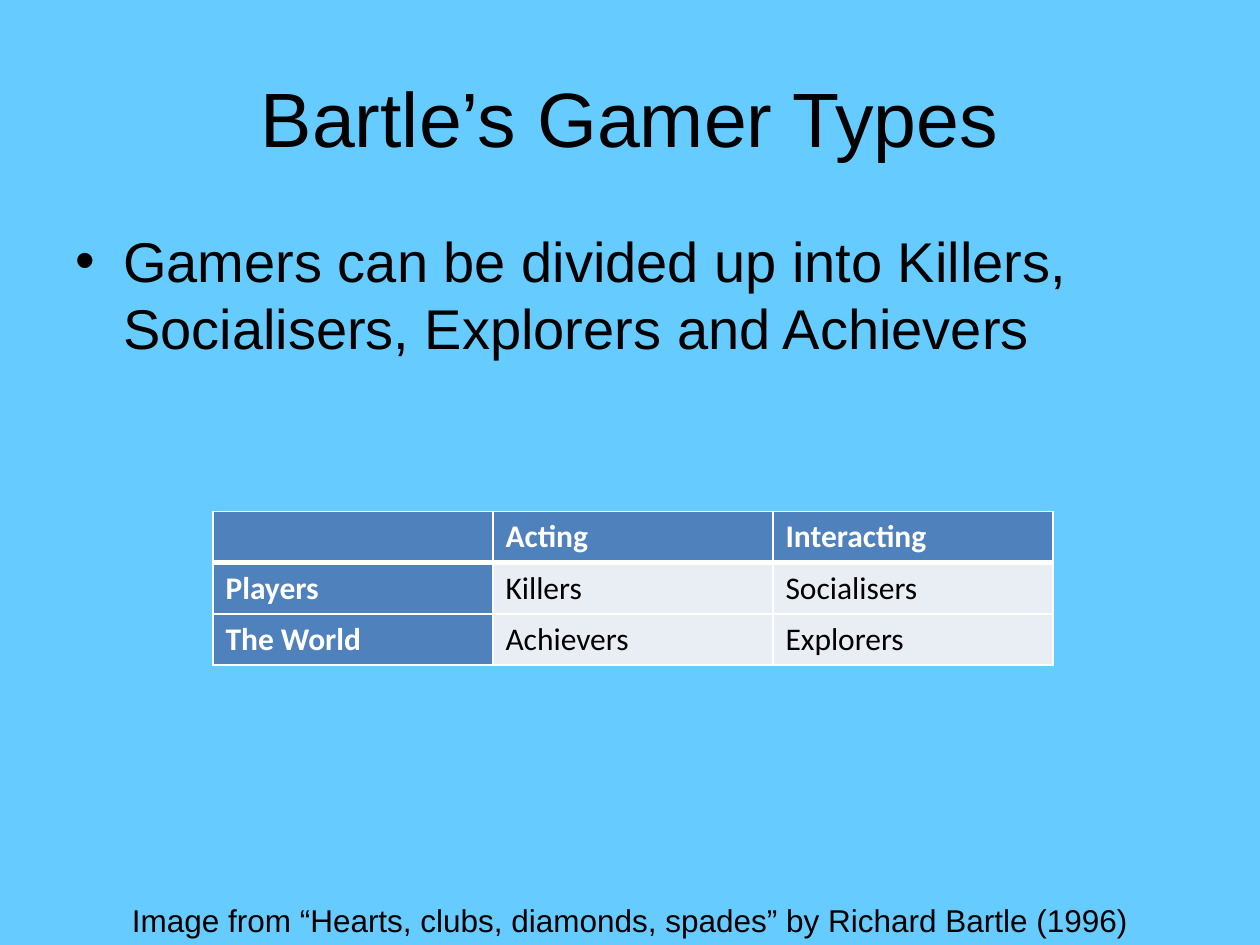
from dataclasses import dataclass

import pptx
import pptx.dml.color
import pptx.enum.text
import pptx.oxml.ns
import pptx.util
from lxml import etree

ALIGN = pptx.enum.text.PP_ALIGN
ANCHOR = pptx.enum.text.MSO_ANCHOR
WIDTH, HEIGHT = pptx.util.Inches(10), pptx.util.Inches(7.5)


@dataclass(frozen=True)
class Theme:
    background: str = "66CCFF"
    text: str = "000000"
    header: str = "4F81BD"
    cell: str = "E9EDF4"
    light: str = "FFFFFF"
    font: str = "Arial"
    table_font: str = "Calibri"
    title_size: int = 44
    body_size: int = 32
    small_size: int = 18


@dataclass(frozen=True)
class Box:
    """A rectangle in shares of the slide's width and height."""
    left: float
    top: float
    width: float
    height: float

    def emu(self) -> tuple[int, int, int, int]:
        return (round(self.left * WIDTH), round(self.top * HEIGHT),
                round(self.width * WIDTH), round(self.height * HEIGHT))


THEME = Theme()
TITLE_BOX = Box(0.05, 0.04, 0.9, 1 / 6)
BODY_BOX = Box(0.05, 1.75 / 7.5, 0.9, 1.37 / 7.5)
TABLE_BOX = Box(0.169, 4.06 / 7.5, 2 / 3, 1.22 / 7.5)
CREDIT_BOX = Box(0, 7.1 / 7.5, 1, 0.4 / 7.5)
GAMER_TYPES = [
    ["", "Acting", "Interacting"],
    ["Players", "Killers", "Socialisers"],
    ["The World", "Achievers", "Explorers"],
]


def rgb(color: str) -> pptx.dml.color.RGBColor:
    return pptx.dml.color.RGBColor.from_string(color)


def write(tf, text: str, *, size: int = THEME.small_size, font: str = THEME.font,
          color: str = THEME.text, bold: bool = False, align=ALIGN.LEFT, anchor=ANCHOR.TOP):
    tf.word_wrap = True
    tf.vertical_anchor = anchor
    p = tf.paragraphs[0]
    p.alignment = align
    if text:
        p.add_run().text = text
    for f in [p.font] + [r.font for r in p.runs]:
        f.size, f.name, f.bold = pptx.util.Pt(size), font, bold
        f.color.rgb = rgb(color)
    return p


def add_bullet(p, indent: float) -> None:
    pPr = p._p.get_or_add_pPr()
    pPr.set("marL", str(pptx.util.Inches(indent)))
    pPr.set("indent", str(-pptx.util.Inches(indent)))
    p.space_before = pptx.util.Pt(0.2 * THEME.body_size)
    bullet_font = etree.Element(pptx.oxml.ns.qn("a:buFont"), typeface=THEME.font)
    bullet = etree.Element(pptx.oxml.ns.qn("a:buChar"), char="•")
    after_spacing = pPr.index(pPr.find(pptx.oxml.ns.qn("a:spcBef"))) + 1
    pPr[after_spacing:after_spacing] = [bullet_font, bullet]


def set_borders(cell, widths: dict[str, float]) -> None:
    """Draw the cell's sides, keyed L, R, T and B, with widths in points."""
    tcPr = cell._tc.get_or_add_tcPr()
    for i, (side, width) in enumerate(widths.items()):
        ln = etree.Element(pptx.oxml.ns.qn(f"a:ln{side}"), w=str(pptx.util.Pt(width)))
        fill = etree.SubElement(ln, pptx.oxml.ns.qn("a:solidFill"))
        etree.SubElement(fill, pptx.oxml.ns.qn("a:srgbClr"), val=THEME.light)
        tcPr.insert(i, ln)


def add_matrix(slide, rows: list[list[str]], box: Box) -> None:
    table = slide.shapes.add_table(len(rows), len(rows[0]), *box.emu()).table
    table.first_col = True
    table.horz_banding = False
    for i, row in enumerate(rows):
        for j, text in enumerate(row):
            cell = table.cell(i, j)
            heading = i == 0 or j == 0
            cell.fill.solid()
            cell.fill.fore_color.rgb = rgb(THEME.header if heading else THEME.cell)
            write(cell.text_frame, text, font=THEME.table_font, bold=heading,
                  color=THEME.light if heading else THEME.text)
            set_borders(cell, {"L": 1, "R": 1, "T": 3 if i == 1 else 1,
                               "B": 3 if i == 0 else 1})


def main() -> None:
    prs = pptx.Presentation()
    prs.slide_width, prs.slide_height = WIDTH, HEIGHT
    slide = prs.slides.add_slide(prs.slide_layouts.get_by_name("Title Only"))
    slide.background.fill.solid()
    slide.background.fill.fore_color.rgb = rgb(THEME.background)

    title = slide.shapes.title
    title.left, title.top, title.width, title.height = TITLE_BOX.emu()
    write(title.text_frame, "Bartle’s Gamer Types", size=THEME.title_size,
          align=ALIGN.CENTER, anchor=ANCHOR.MIDDLE)

    body = slide.shapes.add_textbox(*BODY_BOX.emu())
    p = write(body.text_frame,
              "Gamers can be divided up into Killers, Socialisers, Explorers and Achievers",
              size=THEME.body_size)
    add_bullet(p, 0.38)

    add_matrix(slide, GAMER_TYPES, TABLE_BOX)

    credit = slide.shapes.add_textbox(*CREDIT_BOX.emu())
    write(credit.text_frame,
          "Image from “Hearts, clubs, diamonds, spades” by Richard Bartle (1996)",
          align=ALIGN.CENTER)
    credit.text_frame.auto_size = pptx.enum.text.MSO_AUTO_SIZE.SHAPE_TO_FIT_TEXT

    prs.save("out.pptx")


if __name__ == "__main__":
    main()
